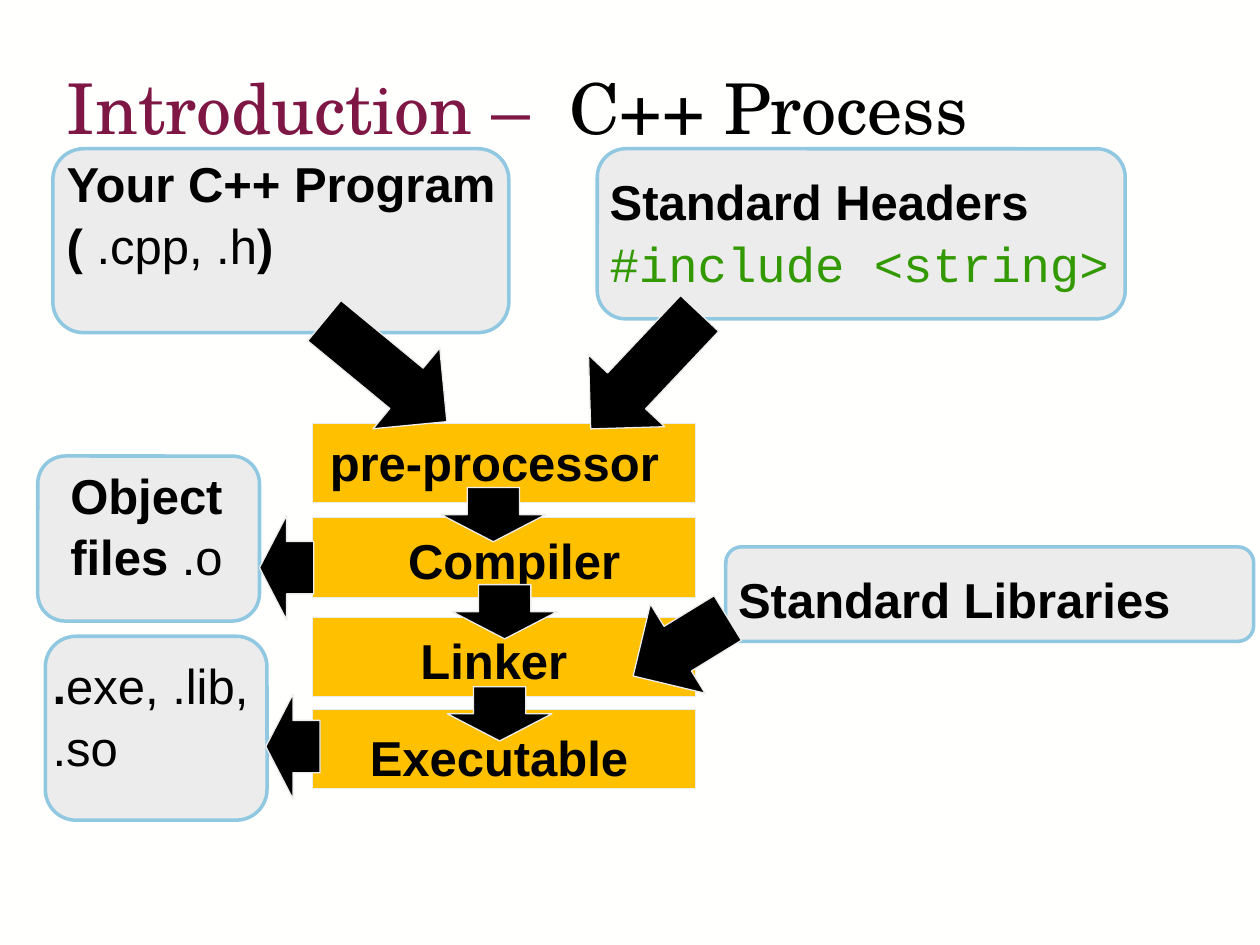
from pptx import Presentation
from pptx.dml.color import RGBColor
from pptx.enum.shapes import MSO_SHAPE
from pptx.enum.text import MSO_ANCHOR, PP_ALIGN
from pptx.util import Pt

ROUND, RECT, ARROW = MSO_SHAPE.ROUNDED_RECTANGLE, MSO_SHAPE.RECTANGLE, MSO_SHAPE.RIGHT_ARROW
TOP = MSO_ANCHOR.TOP
LEFT, CENTER = PP_ALIGN.LEFT, PP_ALIGN.CENTER

PAPER = RGBColor(0xFF, 0xFF, 0xFE)
GREY = RGBColor(0xEC, 0xEC, 0xEC)
BLUE = RGBColor(0x91, 0xC8, 0xE1)
AMBER = RGBColor(0xFF, 0xC0, 0x00)
BLACK = RGBColor(0x00, 0x00, 0x00)
PLUM = RGBColor(0x7F, 0x17, 0x45)
GREEN = RGBColor(0x33, 0x99, 0x00)

STAGE_LEFT, STAGE_W, STAGE_H = 178.6, 218.9, 45.4
ARROW_H = 59.8


def add_run(p, text, size=28, font="Arial", color=BLACK, bold=False):
    r = p.add_run()
    r.text = text
    r.font.size = Pt(size)
    r.font.name = font
    r.font.bold = bold
    r.font.color.rgb = color


def add_block(s, kind, box, fill, line, width, rotation=0):
    sp = s.shapes.add_shape(kind, *map(Pt, box))
    sp.shadow.inherit = False
    sp.fill.solid()
    sp.fill.fore_color.rgb = fill
    sp.line.color.rgb = line
    sp.line.width = Pt(width)
    sp.rotation = rotation


def add_arrow(s, left, top, length, rotation):
    add_block(s, ARROW, (left, top, length, ARROW_H), BLACK, GREY, 0.75, rotation)


def add_label(s, box, lines, align=LEFT):
    """Each line is a list of (text, run options)."""
    tf = s.shapes.add_textbox(*map(Pt, box)).text_frame
    tf.word_wrap = True
    for i, runs in enumerate(lines):
        p = tf.add_paragraph() if i else tf.paragraphs[0]
        p.alignment = align
        p.line_spacing = 1.05
        for text, options in runs:
            add_run(p, text, **options)


def add_title(s):
    sp = s.shapes.title
    sp.left, sp.top, sp.width, sp.height = Pt(31), Pt(37), Pt(612), Pt(90)
    tf = sp.text_frame
    tf.vertical_anchor = TOP
    tf.margin_top = 0
    p = tf.paragraphs[0]
    p.alignment = LEFT
    add_run(p, "Introduction –  ", 40, "TeX Gyre Schola", PLUM)
    add_run(p, "C++ Process", 40, "TeX Gyre Schola")


def main():
    prs = Presentation()
    prs.slide_width, prs.slide_height = Pt(720), Pt(540)
    s = prs.slides.add_slide(prs.slide_layouts[5])
    s.background.fill.solid()
    s.background.fill.fore_color.rgb = PAPER
    add_title(s)

    # Input and output files: panel, text frame, text
    bold = {"bold": True}
    code = {"font": "Courier New", "color": GREEN}
    files = [
        ((21.6, 260.6, 126.7, 94.3), (33.1, 260.6, 128.2, 74.9),
         [[("Object files ", bold), (".o", {})]]),
        ((30.2, 85, 260.6, 105.1), (31, 82.8, 289.4, 74.9),
         [[("Your C++ Program", bold)],
          [("( ", bold), (".cpp, .h", {}), (")", bold)]]),
        ((341.3, 85, 301.7, 97.2), (341.3, 92.9, 301.7, 74.9),
         [[("Standard Headers", bold)], [("#include <string>", code)]]),
        ((414.7, 312.5, 301.7, 54), (414.7, 320.4, 301.7, 41),
         [[("Standard Libraries", bold)]]),
        ((25.9, 363.6, 126.7, 105.1), (23, 369.4, 128.2, 74.9),
         [[(".", bold), ("exe, .lib, .so", {})]]),
    ]
    for panel, frame, lines in files:
        add_block(s, ROUND, panel, GREY, BLUE, 2)
        add_label(s, frame, lines)

    # Build stages: name, bar top, text left, text top, alignment
    stages = [
        ("pre-processor", 241.9, 181.4, 241.9, LEFT),
        ("Compiler", 295.9, 184.3, 298.1, CENTER),
        ("Linker", 352.8, 172.8, 355, CENTER),
        ("Executable", 405.4, 175.7, 410.4, CENTER),
    ]
    for name, top, text_left, text_top, align in stages:
        add_block(s, RECT, (STAGE_LEFT, top, STAGE_W, STAGE_H), AMBER, GREY, 0.75)
        add_label(s, (text_left, text_top, STAGE_W, 41), [[(name, bold)]], align)

    # Arrows: left, top, length, rotation
    arrows = [
        (175, 182.2, 90.7, 39.5),      # program to pre-processor
        (323.3, 182.2, 90.7, 133.3),   # headers to pre-processor
        (357.1, 339.8, 63.4, 148.5),   # libraries to linker
        (266.4, 264.2, 31, 90),        # stage to stage
        (272.9, 319.7, 31, 90),
        (270, 378, 31, 90),
        (148.3, 294.5, 31, 180),       # stage to output files
        (151.9, 396.7, 31, 180),
    ]
    for arrow in arrows:
        add_arrow(s, *arrow)

    prs.save("out.pptx")


if __name__ == "__main__":
    main()
